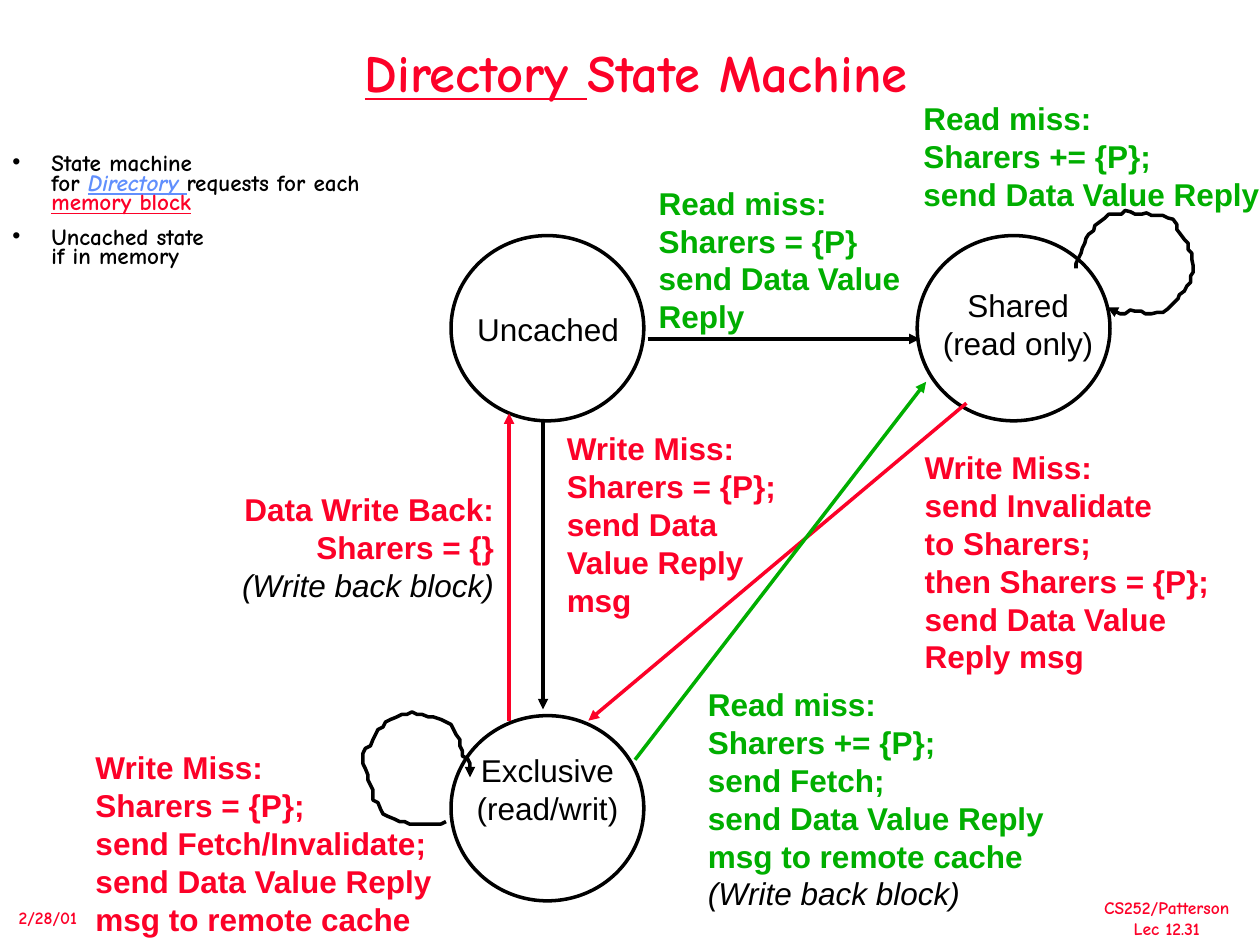
from dataclasses import dataclass

from lxml import etree
from pptx import Presentation
from pptx.dml.color import RGBColor
from pptx.enum.shapes import MSO_CONNECTOR, MSO_SHAPE
from pptx.enum.text import MSO_ANCHOR, MSO_AUTO_SIZE, PP_ALIGN
from pptx.oxml.ns import qn
from pptx.util import Emu, Inches, Pt

LEFT, CENTER, RIGHT = PP_ALIGN.LEFT, PP_ALIGN.CENTER, PP_ALIGN.RIGHT
MIDDLE, GROW, NO_FIT = MSO_ANCHOR.MIDDLE, MSO_AUTO_SIZE.SHAPE_TO_FIT_TEXT, MSO_AUTO_SIZE.NONE
OVAL, STRAIGHT = MSO_SHAPE.OVAL, MSO_CONNECTOR.STRAIGHT

SLIDE_WIDTH, SLIDE_HEIGHT = Inches(10), Inches(7.5)
CELL = SLIDE_WIDTH // 100  # the slide is a grid of 100 columns by 75 rows
TRACE_STEP = CELL // 10  # the hand-drawn loops use a grid ten times finer


@dataclass(frozen=True)
class Theme:
    red: str = "FC0128"
    green: str = "00AE00"
    blue: str = "618FFD"
    black: str = "000000"
    white: str = "FFFFFF"
    heading_font: str = "Comic Neue"
    label_font: str = "Arial"
    title_size: float = 30
    label_size: float = 18
    bullet_size: float = 13.2
    footer_size: float = 10
    line_width: float = 2


THEME = Theme()


@dataclass(frozen=True)
class Span:
    text: str
    color: str
    bold: bool = True
    italic: bool = False
    underline: bool = False


@dataclass(frozen=True)
class Label:
    """A text block: place in grid cells, and one list of spans per paragraph."""
    place: tuple[float, float, float, float]
    paragraphs: list[list[Span]]
    align: PP_ALIGN = LEFT
    filled: bool = False
    wrap: bool = False
    font: str = THEME.label_font
    size: float = THEME.label_size


@dataclass(frozen=True)
class Arrow:
    start: tuple[float, float]
    end: tuple[float, float]
    color: str = THEME.black


def lines(text: str, color: str, bold: bool = True) -> list[list[Span]]:
    return [[Span(line, color, bold)] for line in text.split("\n")]


WRITE_BACK = [Span("(Write back block)", THEME.black, bold=False, italic=True)]
TITLE = [Span("Directory ", THEME.red, underline=True), Span("State Machine", THEME.red)]
BULLETS = Label(
    (0, 11.9, 39.6, 10.6),
    [[Span("State machine\nfor ", THEME.black),
      Span("Directory ", THEME.blue, italic=True, underline=True),
      Span("requests for each\n", THEME.black),
      Span("memory block", THEME.red, underline=True)],
     [Span("Uncached state\nif in memory", THEME.black)]],
    wrap=True, font=THEME.heading_font, size=THEME.bullet_size)
FOOTERS = [
    Label((86.6, 70.7, 12, 4.3), lines("CS252/Patterson\nLec 12.31", THEME.red), CENTER,
          font=THEME.heading_font, size=THEME.footer_size),
    Label((0.5, 71.5, 6.6, 2.7), lines("2/28/01", THEME.red),
          font=THEME.heading_font, size=THEME.footer_size),
]
STATE_NAMES = [
    Label((36.4, 24.1, 14.2, 4), lines("Uncached", THEME.black, False),
          CENTER, filled=True, wrap=True),
    Label((73.7, 22.2, 14.2, 7), lines("Shared\n(read only)", THEME.black, False),
          CENTER, filled=True, wrap=True),
    Label((36.4, 59.1, 14.1, 7), lines("Exclusive\n(read/writ)", THEME.black, False),
          CENTER, filled=True, wrap=True),
]
TRANSITIONS = [
    Label((18.2, 38.4, 22, 10),
          lines("Data Write Back:\nSharers = {}", THEME.red) + [WRITE_BACK], RIGHT),
    Label((51.3, 14.1, 22, 16),
          lines("Read miss:\nSharers = {P}\nsend Data Value\nReply", THEME.green), filled=True),
    Label((72.4, 35.1, 24.6, 22),
          lines("Write Miss:\nsend Invalidate\nto Sharers;\nthen Sharers = {P};\n"
                "send Data Value\nReply msg", THEME.red), filled=True),
    Label((44, 33.6, 19.3, 16),
          lines("Write Miss:\nSharers = {P};\nsend Data\nValue Reply\nmsg", THEME.red),
          filled=True),
    Label((55.2, 53.9, 30.3, 19),
          lines("Read miss:\nSharers += {P};\nsend Fetch;\nsend Data Value Reply\n"
                "msg to remote cache", THEME.green) + [WRITE_BACK], wrap=True),
    Label((72.3, 7.4, 28.8, 10),
          lines("Read miss:\nSharers += {P};\nsend Data Value Reply", THEME.green)),
    Label((6.6, 58.9, 30.3, 16),
          lines("Write Miss:\nSharers = {P};\nsend Fetch/Invalidate;\n"
                "send Data Value Reply\nmsg to remote cache", THEME.red), wrap=True),
]
STATE_SIZE = (15.3, 14.7)
STATE_CORNERS = [(35.8, 18.7), (72.8, 18.7), (35.8, 56.8)]
ARROWS = [
    Arrow((51.4, 26.9), (73, 26.9)),
    Arrow((43.1, 33.5), (43.1, 56.3)),
    Arrow((40.4, 57.2), (40.4, 32.8), THEME.red),
    Arrow((76.7, 32), (46.7, 57.2), THEME.red),
    Arrow((50.4, 60.3), (73.5, 30.3), THEME.green),
]
SHARED_LOOP = [
    (854, 213), (854, 209), (856, 205), (858, 201), (859, 197), (861, 193), (862, 189),
    (864, 186), (868, 183), (869, 179), (873, 176), (877, 173), (880, 170), (885, 170),
    (890, 170), (893, 167), (897, 168), (901, 170), (906, 170), (910, 169), (914, 171),
    (919, 171), (923, 171), (927, 173), (931, 174), (934, 178), (934, 182), (937, 186),
    (940, 190), (943, 193), (943, 198), (946, 201), (946, 206), (947, 211), (947, 216),
    (945, 219), (945, 224), (942, 227), (940, 231), (936, 234), (935, 237), (930, 242),
    (927, 245), (923, 248), (918, 248), (914, 249), (909, 249), (906, 247), (901, 247),
    (897, 246), (893, 249), (889, 249), (885, 247), (881, 246), (879, 244)]
EXCLUSIVE_LOOP = [
    (354, 652), (350, 654), (325, 654), (321, 652), (317, 652), (313, 650), (308, 648),
    (304, 646), (302, 642), (300, 637), (296, 635), (296, 627), (294, 623), (292, 619),
    (292, 615), (290, 610), (288, 606), (288, 598), (290, 594), (294, 592), (296, 587),
    (298, 583), (300, 579), (304, 577), (306, 573), (310, 571), (315, 569), (319, 567),
    (323, 567), (327, 565), (331, 567), (335, 567), (340, 569), (344, 569), (350, 571),
    (354, 573), (358, 575), (360, 579), (362, 583), (365, 587), (365, 592), (367, 596),
    (367, 600), (371, 602), (373, 606), (373, 617)]


def cells(*values: float) -> list[Emu]:
    return [Emu(round(value * CELL)) for value in values]


def rgb(color: str) -> RGBColor:
    return RGBColor.from_string(color)


def write_spans(para, spans: list[Span], font: str, size: float) -> None:
    for span in spans:
        for index, piece in enumerate(span.text.split("\n")):
            if index:
                para.add_line_break()
            if not piece:
                continue
            run = para.add_run()
            run.text = piece
            formats = {"name": font, "size": Pt(size), "bold": span.bold,
                       "italic": span.italic, "underline": span.underline}
            for name, value in formats.items():
                setattr(run.font, name, value)
            run.font.color.rgb = rgb(span.color)


def draw_label(page, label: Label):
    box = page.shapes.add_textbox(*cells(*label.place))
    if label.filled:
        box.fill.solid()
        box.fill.fore_color.rgb = rgb(THEME.white)
    frame = box.text_frame
    frame.word_wrap, frame.auto_size = label.wrap, GROW
    for index, spans in enumerate(label.paragraphs):
        para = frame.add_paragraph() if index else frame.paragraphs[0]
        para.alignment = label.align
        write_spans(para, spans, label.font, label.size)
    return box


def draw_bullets(page) -> None:
    frame = draw_label(page, BULLETS).text_frame
    frame.auto_size = NO_FIT
    for para in frame.paragraphs:
        para.line_spacing, para.space_before = 0.7, Pt(9)
        properties = para._p.get_or_add_pPr()
        properties.set("marL", str(Inches(0.31)))
        properties.set("indent", str(-Inches(0.31)))
        color = etree.SubElement(properties, qn("a:buClr"))
        etree.SubElement(color, qn("a:srgbClr"), val=THEME.black)
        etree.SubElement(properties, qn("a:buFont"), typeface=THEME.label_font)
        etree.SubElement(properties, qn("a:buChar"), char="•")


def set_line(shape, color: str, arrowhead: bool = True) -> None:
    shape.line.color.rgb = rgb(color)
    shape.line.width = Pt(THEME.line_width)
    if arrowhead:
        etree.SubElement(shape.line._get_or_add_ln(), qn("a:tailEnd"), type="triangle")


def draw_state(page, corner: tuple[float, float]) -> None:
    circle = page.shapes.add_shape(OVAL, *cells(*corner, *STATE_SIZE))
    circle.shadow.inherit = False
    circle.fill.background()
    set_line(circle, THEME.black, arrowhead=False)


def draw_arrow(page, arrow: Arrow) -> None:
    connector = page.shapes.add_connector(STRAIGHT, *cells(*arrow.start, *arrow.end))
    set_line(connector, arrow.color)
    etree.SubElement(connector._element.spPr, qn("a:effectLst"))


def draw_loop(page, points: list[tuple[int, int]]) -> None:
    builder = page.shapes.build_freeform(*points[0], scale=TRACE_STEP)
    builder.add_line_segments(points[1:], close=False)
    loop = builder.convert_to_shape()
    loop.shadow.inherit = False
    loop.fill.background()
    set_line(loop, THEME.black)


def draw_title(page) -> None:
    title = page.shapes.title
    place = dict(zip(("left", "top", "width", "height"), cells(5.8, 3.1, 89.4, 5.8)))
    for name, value in place.items():
        setattr(title, name, value)
    frame = title.text_frame
    frame.vertical_anchor, frame.auto_size = MIDDLE, NO_FIT
    para = frame.paragraphs[0]
    para.alignment, para.line_spacing = CENTER, 0.9
    write_spans(para, TITLE, THEME.heading_font, THEME.title_size)


def main() -> None:
    deck = Presentation()
    deck.slide_width, deck.slide_height = SLIDE_WIDTH, SLIDE_HEIGHT
    page = deck.slides.add_slide(deck.slide_layouts.get_by_name("Title Only"))
    draw_title(page)
    draw_bullets(page)
    for label in FOOTERS + STATE_NAMES + TRANSITIONS:
        draw_label(page, label)
    for corner in STATE_CORNERS:
        draw_state(page, corner)
    for arrow in ARROWS:
        draw_arrow(page, arrow)
    for loop in (SHARED_LOOP, EXCLUSIVE_LOOP):
        draw_loop(page, loop)
    deck.save("out.pptx")


if __name__ == "__main__":
    main()
